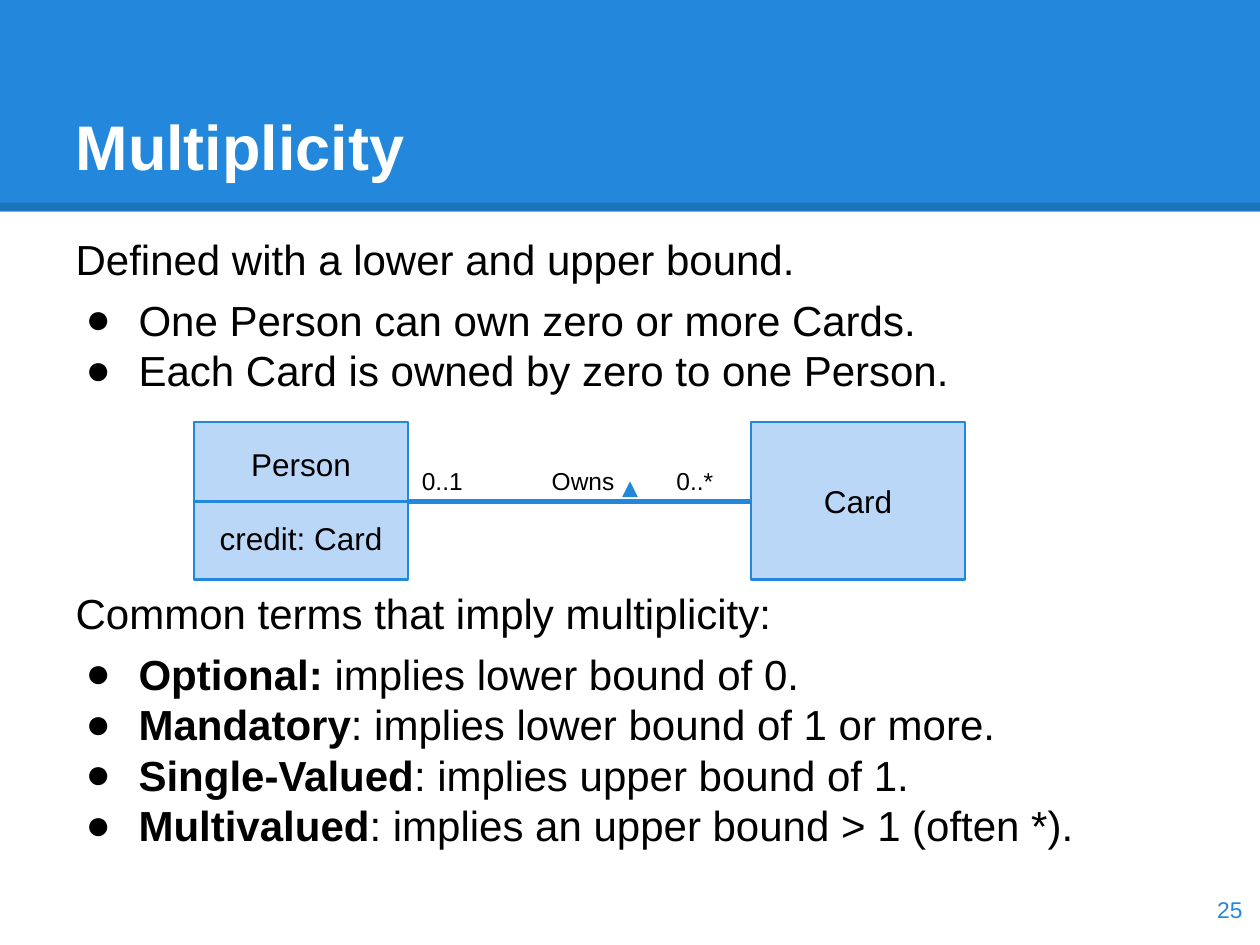
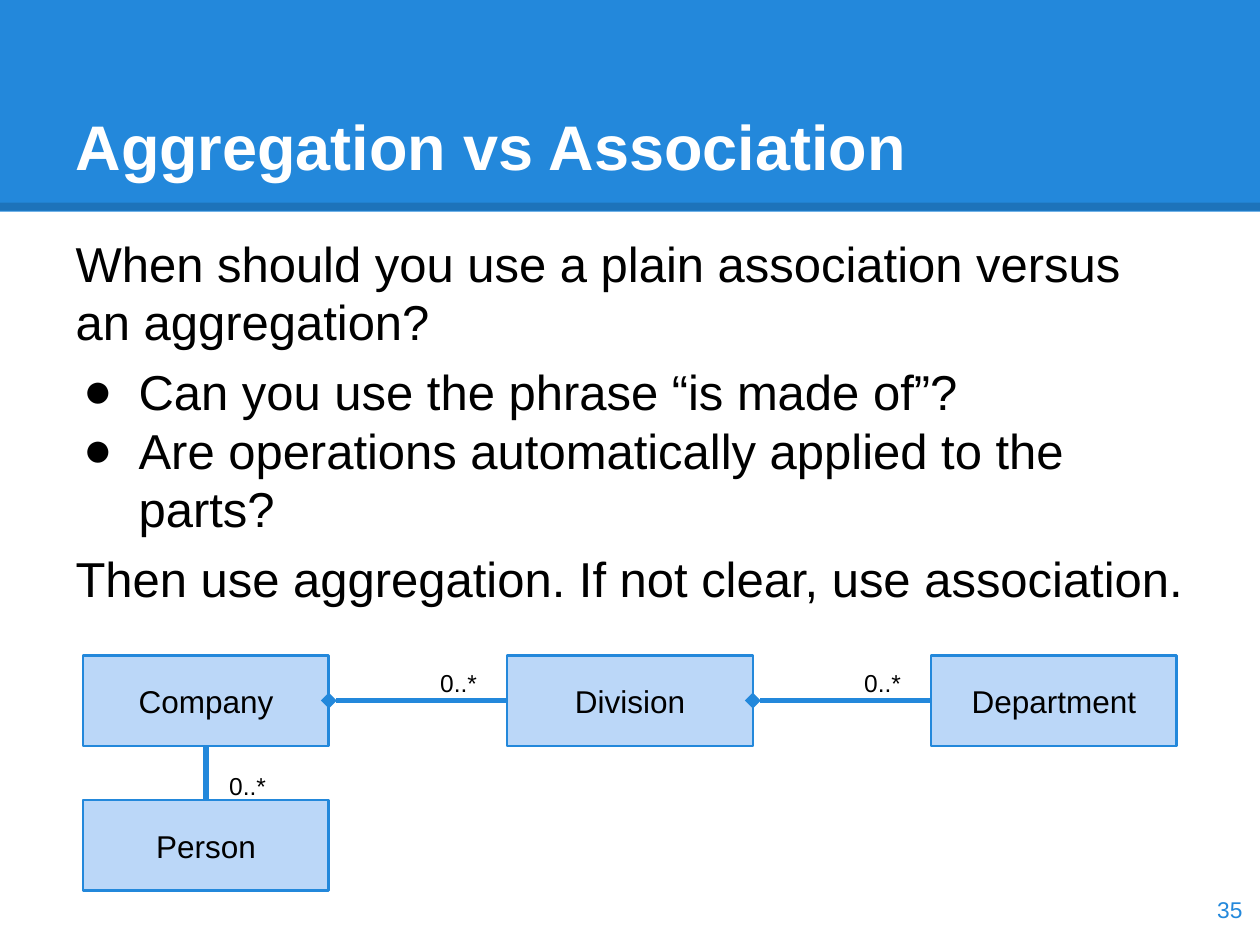
"""Build two lecture slides on UML multiplicity and aggregation."""
from lxml import etree
from pptx import Presentation
from pptx.dml.color import RGBColor
from pptx.enum.shapes import MSO_CONNECTOR, MSO_SHAPE
from pptx.enum.text import MSO_ANCHOR, MSO_AUTO_SIZE, PP_ALIGN
from pptx.oxml.ns import qn
from pptx.util import Inches, Pt

BLUE = RGBColor(0x23, 0x88, 0xDB)
PALE_BLUE = RGBColor(0xBB, 0xD7, 0xF8)
BLACK = RGBColor(0, 0, 0)
WHITE = RGBColor(0xFF, 0xFF, 0xFF)
FONT = "Arial"
STRAIGHT = MSO_CONNECTOR.STRAIGHT
RECTANGLE = MSO_SHAPE.RECTANGLE
LEFT, CENTER, RIGHT = PP_ALIGN.LEFT, PP_ALIGN.CENTER, PP_ALIGN.RIGHT
TOP, MIDDLE, BOTTOM = MSO_ANCHOR.TOP, MSO_ANCHOR.MIDDLE, MSO_ANCHOR.BOTTOM


def add_span(para, text, size=14, color=BLACK, bold=False):
    """Append one formatted run to a paragraph."""
    span = para.add_run()
    span.text = text
    span.font.name = FONT
    span.font.size = Pt(size)
    span.font.color.rgb = color
    span.font.bold = bold


def set_frame(frame, anchor):
    """Give a text frame the shared margins, wrapping and anchor."""
    frame.word_wrap = True
    frame.auto_size = MSO_AUTO_SIZE.NONE
    frame.vertical_anchor = anchor
    frame.margin_left = frame.margin_right = Inches(0.1)
    frame.margin_top = frame.margin_bottom = Inches(0.1)


def place(shape, left, top, width, height):
    """Move and size a shape, in inches."""
    shape.left, shape.top = Inches(left), Inches(top)
    shape.width, shape.height = Inches(width), Inches(height)


def set_bullet(para, indent):
    """Set a hanging indent with a round bullet, or none when indent is zero."""
    props = para._p.get_or_add_pPr()
    props.set("marL", str(Inches(0.5) if indent else 0))
    props.set("indent", str(-Inches(indent)))
    if not indent:
        etree.SubElement(props, qn("a:buNone"))
        return
    color = etree.SubElement(props, qn("a:buClr"))
    etree.SubElement(color, qn("a:srgbClr"), val=str(BLACK))
    etree.SubElement(props, qn("a:buFont"), typeface=FONT)
    etree.SubElement(props, qn("a:buChar"), char="●")


def add_line(page, start, end, color=BLUE, width=3.0, tip=None, alpha=None):
    """Draw a straight connector with an optional end tip and opacity."""
    line = page.shapes.add_connector(STRAIGHT, *map(Inches, start + end))
    line.line.color.rgb = color
    line.line.width = Pt(width)
    stroke = line.line._get_or_add_ln()
    if alpha:
        tint = stroke.find(".//" + qn("a:srgbClr"))
        etree.SubElement(tint, qn("a:alpha"), val=str(alpha * 1000))
    if tip:
        etree.SubElement(stroke, qn("a:tailEnd"), type=tip)
    etree.SubElement(line._element.spPr, qn("a:effectLst"))
    return line


def add_rectangle(page, left, top, width, height, fill):
    """Draw a filled rectangle without outline or shadow."""
    shape = page.shapes.add_shape(
        RECTANGLE, *map(Inches, (left, top, width, height)))
    shape.shadow.inherit = False
    shape.fill.solid()
    shape.fill.fore_color.rgb = fill
    shape.line.fill.background()
    return shape


def add_class_box(page, left, top, width, height, *lines):
    """Draw a UML class box with one centred paragraph per line."""
    box = add_rectangle(page, left, top, width, height, PALE_BLUE)
    box.line.color.rgb = BLUE
    box.line.width = Pt(1.5)
    frame = box.text_frame
    set_frame(frame, MIDDLE)
    for index, text in enumerate(lines):
        para = frame.add_paragraph() if index else frame.paragraphs[0]
        para.alignment = CENTER
        if index:
            para.space_before = Pt(21)
        add_span(para, text, size=18)


def add_label(page, text, left, top, width, height, anchor=TOP, align=LEFT,
              **style):
    """Add a small text box."""
    box = page.shapes.add_textbox(*map(Inches, (left, top, width, height)))
    set_frame(box.text_frame, anchor)
    para = box.text_frame.paragraphs[0]
    para.alignment = align
    add_span(para, text, **style)


def fill_body(page, items, width, size, hanging):
    """Fill the body placeholder from (spans, bulleted, space before) items."""
    body = page.placeholders[1]
    place(body, 0.5, 1.75, width, 5.43)
    frame = body.text_frame
    set_frame(frame, TOP)
    for index, (spans, bulleted, before) in enumerate(items):
        para = frame.add_paragraph() if index else frame.paragraphs[0]
        set_bullet(para, hanging if bulleted else 0)
        para.alignment = LEFT
        para.space_before = Pt(before)
        for position, text in enumerate(spans):
            lead_term = len(spans) > 1 and position == 0
            add_span(para, text, size=size, bold=lead_term)


def add_page(deck, title_text, number):
    """Add a slide with the title band, title and page number."""
    page = deck.slides.add_slide(deck.slide_layouts[1])
    title = page.shapes.title
    band = add_rectangle(page, 0, 0, 10, 1.68, BLUE)
    edge = add_line(page, (0, 1.64), (10, 1.64), BLACK, 4.5, alpha=15)
    for backdrop in (band, edge):
        title._element.addprevious(backdrop._element)
    place(title, 0.5, 0.3, 9, 1.25)
    set_frame(title.text_frame, BOTTOM)
    para = title.text_frame.paragraphs[0]
    para.alignment = LEFT
    add_span(para, title_text, size=36, color=WHITE, bold=True)
    add_label(page, number, 9.36, 6.93, 0.6, 0.57, MIDDLE, RIGHT,
              size=13, color=BLUE)
    return page


def build_multiplicity(deck):
    """Build the slide that explains lower and upper bounds."""
    page = add_page(deck, "Multiplicity", "25")
    fill_body(page, [
        (["Defined with a lower and upper bound."], False, 0),
        (["One Person can own zero or more Cards."], True, 6),
        (["Each Card is owned by zero to one Person."], True, 0),
        (["Common terms that imply multiplicity:"], False, 110),
        (["Optional:", " implies lower bound of 0."], True, 6),
        (["Mandatory", ": implies lower bound of 1 or more."], True, 0),
        (["Single-Valued", ": implies upper bound of 1."], True, 0),
        (["Multivalued", ": implies an upper bound > 1 (often *)."], True, 0),
    ], width=9.2, size=24, hanging=0.42)
    person, card, top, width, height = 1.54, 5.96, 3.35, 1.7, 1.25
    middle = 3.98
    add_class_box(page, person, top, width, height, "Person", "credit: Card")
    add_class_box(page, card, top, width, height, "Card")
    add_line(page, (person + width, middle), (card, middle))
    add_line(page, (person, middle), (person + width, middle), width=1.5)
    add_line(page, (5, 3.85), (5, 3.82), tip="triangle")
    for text, left, label_width in (
            ("Owns", 4.28, 1.55), ("0..1", 3.25, 0.57), ("0..*", 5.27, 0.69)):
        add_label(page, text, left, 3.6, label_width, 0.3)


def build_aggregation(deck):
    """Build the slide that compares aggregation with association."""
    page = add_page(deck, "Aggregation vs Association", "35")
    fill_body(page, [
        (["When should you use a plain association versus an aggregation?"],
         False, 0),
        (["Can you use the phrase “is made of”?"], True, 6),
        (["Are operations automatically applied to the parts?"], True, 0),
        (["Then use aggregation. If not clear, use association."], False, 6),
    ], width=9, size=28, hanging=0.44)
    left, top, width, height, pitch = 0.66, 5.2, 1.95, 0.72, 3.365
    person_top = 6.35
    middle = top + height / 2
    for column, name in enumerate(("Company", "Division", "Department")):
        box_left = left + column * pitch
        add_class_box(page, box_left, top, width, height, name)
        if column:
            whole_edge = box_left - pitch + width
            add_line(page, (box_left, middle), (whole_edge, middle),
                     tip="diamond")
            add_label(page, "0..*", box_left - 0.63, top, 0.58, 0.24)
    add_class_box(page, left, person_top, width, height, "Person")
    center = left + width / 2
    add_line(page, (center, top + height), (center, person_top))
    add_label(page, "0..*", 1.72, 6.02, 0.58, 0.24)


def main():
    """Create and save the deck."""
    deck = Presentation()
    deck.slide_width, deck.slide_height = Inches(10), Inches(7.5)
    build_multiplicity(deck)
    build_aggregation(deck)
    deck.save("out.pptx")


if __name__ == "__main__":
    main()
